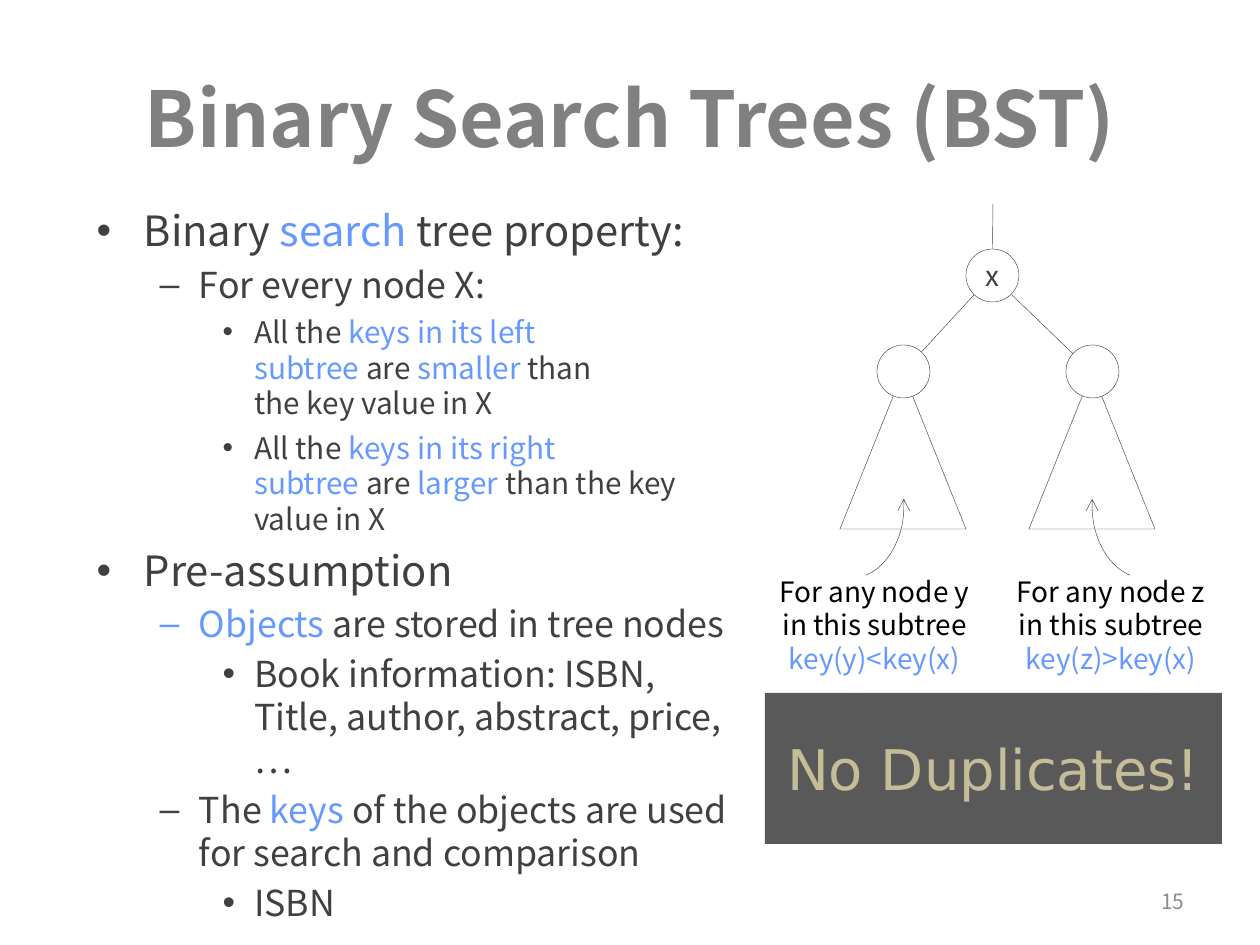
from pptx import Presentation
from pptx.dml.color import RGBColor
from pptx.enum.shapes import MSO_CONNECTOR, MSO_SHAPE
from pptx.enum.text import MSO_ANCHOR, MSO_AUTO_SIZE, PP_ALIGN
from pptx.oxml.ns import qn
from pptx.util import Emu, Pt
from lxml import etree

STRAIGHT = MSO_CONNECTOR.STRAIGHT
OVAL, TRIANGLE = MSO_SHAPE.OVAL, MSO_SHAPE.ISOSCELES_TRIANGLE
ARC, RECTANGLE = MSO_SHAPE.ARC, MSO_SHAPE.RECTANGLE
MIDDLE = MSO_ANCHOR.MIDDLE
CENTER, RIGHT = PP_ALIGN.CENTER, PP_ALIGN.RIGHT

INK = RGBColor(0x40, 0x40, 0x40)
ACCENT = RGBColor(0x66, 0x99, 0xFF)
TITLE_GRAY = RGBColor(0x80, 0x80, 0x80)
PAGE_GRAY = RGBColor(0x8C, 0x8C, 0x8C)
BANNER_GRAY = RGBColor(0x59, 0x59, 0x59)
SAND = RGBColor(0xC4, 0xBD, 0x97)
BLACK = RGBColor(0, 0, 0)
WHITE = RGBColor(0xFF, 0xFF, 0xFF)
FONT = "Noto Sans CJK SC"
HAIRLINE = Pt(0.25)
PX = 914400 / 126


def px(*lengths):
    return [Emu(round(length * PX)) for length in lengths]


def write(para, text, size, color=INK, font=FONT, bold=False, align=None):
    """Fill a paragraph; parts between asterisks get the accent colour."""
    para.alignment = align
    for part, words in enumerate(text.split("*")):
        for row, line in enumerate(words.split("\n")):
            if row:
                para.add_line_break()
            if line:
                span = para.add_run()
                span.text = line
                span.font.size = Pt(size)
                span.font.name = font
                span.font.bold = bold
                span.font.color.rgb = ACCENT if part % 2 else color


deck = Presentation()
deck.slide_width, deck.slide_height = px(1260, 945)
page = deck.slides.add_slide(deck.slide_layouts[1])
shapes = page.shapes

# Title and bullet list
title, body = page.placeholders
title.left, title.top, title.width, title.height = px(63, 38, 1134, 157)
write(title.text_frame.paragraphs[0], "Binary Search Trees (BST)", 44,
      color=TITLE_GRAY, bold=True, align=CENTER)

body.left, body.top, body.width, body.height = px(84, 199, 672, 693)
body.text_frame.auto_size = MSO_AUTO_SIZE.NONE
bullets = [
    (0, 23.8, "Binary *search* tree property:"),
    (1, 20.4, "For every node X:"),
    (2, 17, "All the *keys in its left \nsubtree *are *smaller* than \nthe key value in X"),
    (2, 17, "All the *keys in its right \nsubtree* are *larger* than the key value in X"),
    (0, 23.8, "Pre-assumption"),
    (1, 20.4, "*Objects* are stored in tree nodes"),
    (2, 20.4, "Book information: ISBN, Title, author, abstract, price, …"),
    (1, 20.4, "The *keys* of the objects are used for search and comparison"),
    (2, 20.4, "ISBN"),
]
for number, (level, size, text) in enumerate(bullets):
    frame = body.text_frame
    para = frame.add_paragraph() if number else frame.paragraphs[0]
    para.level = level
    write(para, text, size)

# Banner
banner = shapes.add_shape(RECTANGLE, *px(765, 693, 457, 151))
banner.shadow.inherit = False
banner.fill.solid()
banner.fill.fore_color.rgb = BANNER_GRAY
banner.line.fill.background()
banner.text_frame.word_wrap = False
banner.text_frame.vertical_anchor = MIDDLE
write(banner.text_frame.paragraphs[0], "No Duplicates!", 32,
      color=SAND, font="DejaVu Sans", align=CENTER)

# Tree outlines: kind, place, fill
NODE = 53
CHILD_CENTERS = (903, 1092)
outlines = [(OVAL, (966, 249, NODE, NODE), None)]
outlines += [(TRIANGLE, (x - 63, 372, 126, 157), None) for x in CHILD_CENTERS]
outlines += [(OVAL, (x - 26, 345, NODE, NODE), WHITE) for x in CHILD_CENTERS]
outlines += [(ARC, (x, 431, 105, 147), None) for x in (799, 1092)]

# Edges come first so that the filled nodes cover their ends
edges = []
for start, end in [((974, 295), (903, 372)), ((1012, 295), (1092, 372)),
                   ((993, 249), (993, 204))]:
    edge = shapes.add_connector(STRAIGHT, *px(*start, *end))
    edge.line.color.rgb = INK
    edge.line.width = HAIRLINE
    etree.SubElement(edge.element.spPr, qn("a:effectLst"))
    edges.append(edge)

drawn = []
for kind, place, fill in outlines:
    outline = shapes.add_shape(kind, *px(*place))
    outline.shadow.inherit = False
    if fill is None:
        outline.fill.background()
    else:
        outline.fill.solid()
        outline.fill.fore_color.rgb = fill
    outline.line.color.rgb = INK
    outline.line.width = HAIRLINE
    drawn.append(outline)

root = drawn[0]
root.text_frame.word_wrap = False
root.text_frame.vertical_anchor = MIDDLE
write(root.text_frame.paragraphs[0], "x", 16, align=CENTER)
edges[2].begin_connect(root, 0)

# Curved pointers, mirrored towards their subtrees
left_arc, right_arc = drawn[-2:]
for arc in (left_arc, right_arc):
    arc.adjustments[0], arc.adjustments[1] = 168.73, 3.67
    arc.element.spPr.xfrm.set("flipV", "1")
    etree.SubElement(arc.line._get_or_add_ln(), qn("a:tailEnd"), type="arrow")
right_arc.element.spPr.xfrm.set("flipH", "1")

# Subtree labels and page number
notes = [
    ((756, 567, 237, 115), "For any node y in this subtree *key(y)<key(x)*", 16, BLACK, CENTER),
    ((994, 567, 234, 115), "For any node z in this subtree *key(z)>key(x)*", 16, BLACK, CENTER),
    ((903, 876, 294, 50), "15", 12, PAGE_GRAY, RIGHT),
]
for place, text, size, color, align in notes:
    box = shapes.add_textbox(*px(*place))
    box.text_frame.word_wrap = True
    box.text_frame.vertical_anchor = MIDDLE
    write(box.text_frame.paragraphs[0], text, size, color=color, align=align)

deck.save("out.pptx")
